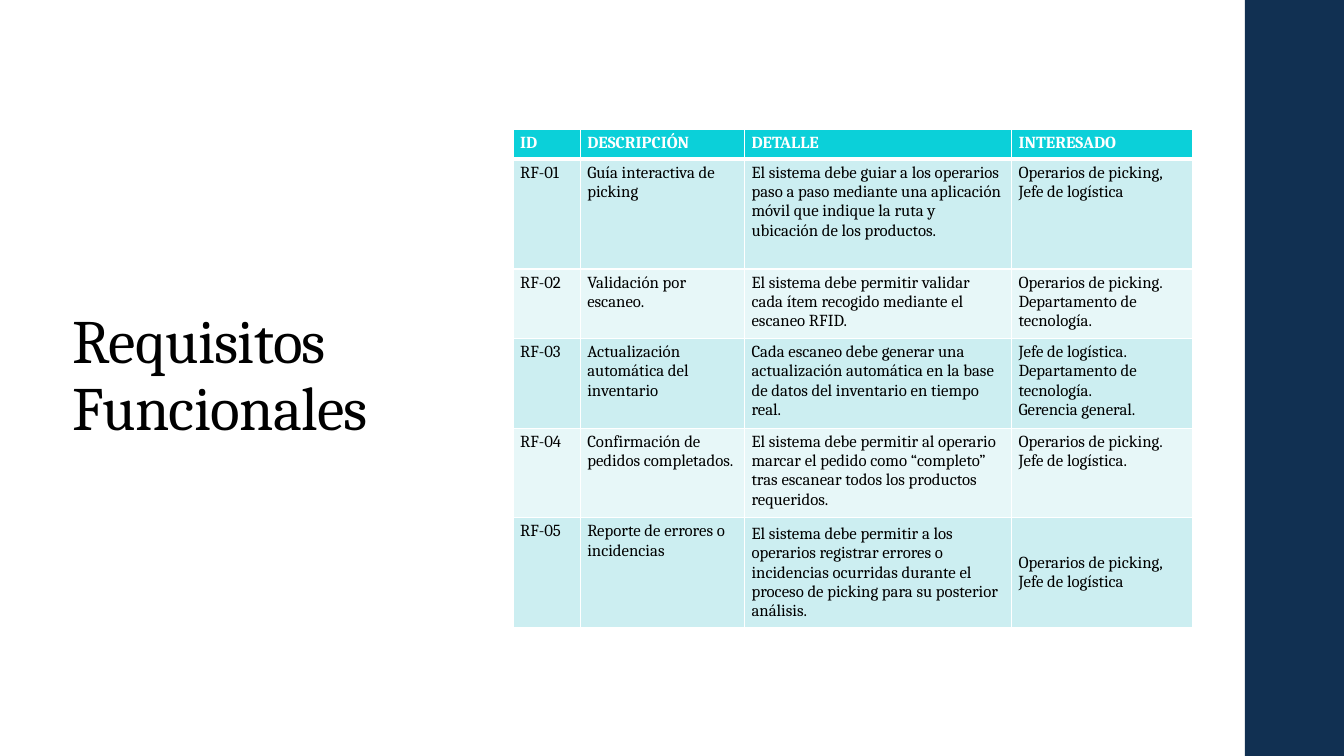
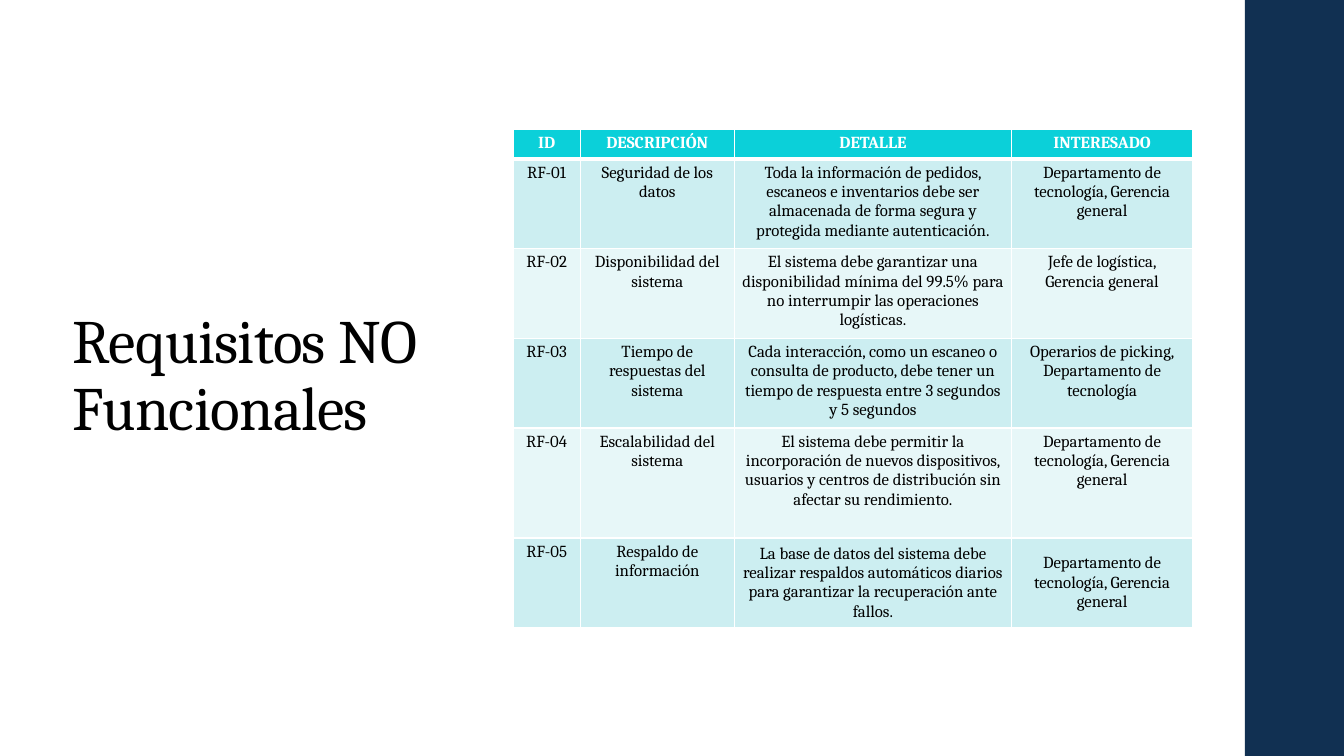
from lxml.etree import SubElement
from pptx import Presentation
from pptx.dml.color import RGBColor
from pptx.enum.shapes import MSO_SHAPE
from pptx.enum.text import MSO_ANCHOR, PP_ALIGN
from pptx.oxml.ns import qn
from pptx.util import Cm, Pt

FONT = "Cambria"
WHITE, BLACK, NAVY, CYAN = "FFFFFF", "000000", "113052", "0BD0D9"
ROW_FILLS = ("CCEEF1", "E7F7F8")
SLIDE_WIDTH, SLIDE_HEIGHT = 33.87, 19.05
BAND_LEFT = 31.37
HEADER_HEIGHT = 0.76
HEADINGS = ("ID", "DESCRIPCIÓN", "DETALLE", "INTERESADO")

FUNCTIONAL = [
    ("Guía interactiva de picking",
     "El sistema debe guiar a los operarios paso a paso mediante una aplicación móvil que indique la ruta y ubicación de los productos.",
     "Operarios de picking, Jefe de logística"),
    ("Validación por escaneo.",
     "El sistema debe permitir validar cada ítem recogido mediante el escaneo RFID.",
     "Operarios de picking.\nDepartamento de tecnología."),
    ("Actualización automática del inventario",
     "Cada escaneo debe generar una actualización automática en la base de datos del inventario en tiempo real.",
     "Jefe de logística.\nDepartamento de tecnología.\nGerencia general."),
    ("Confirmación de pedidos completados.",
     "El sistema debe permitir al operario marcar el pedido como “completo” tras escanear todos los productos requeridos.",
     "Operarios de picking.\nJefe de logística."),
    ("Reporte de errores o incidencias",
     "El sistema debe permitir a los operarios registrar errores o incidencias ocurridas durante el proceso de picking para su posterior análisis.",
     "Operarios de picking, Jefe de logística"),
]

NON_FUNCTIONAL = [
    ("Seguridad de los datos",
     "Toda la información de pedidos, escaneos e inventarios debe ser almacenada de forma segura y protegida mediante autenticación.",
     "Departamento de tecnología, Gerencia general"),
    ("Disponibilidad del sistema",
     "El sistema debe garantizar una disponibilidad mínima del 99.5% para no interrumpir las operaciones logísticas.",
     "Jefe de logística, Gerencia general"),
    ("Tiempo de respuestas del sistema",
     "Cada interacción, como un escaneo o consulta de producto, debe tener un tiempo de respuesta entre 3 segundos y 5 segundos",
     "Operarios de picking, Departamento de tecnología"),
    ("Escalabilidad del sistema",
     "El sistema debe permitir la incorporación de nuevos dispositivos, usuarios y centros de distribución sin afectar su rendimiento.",
     "Departamento de tecnología, Gerencia general"),
    ("Respaldo de información",
     "La base de datos del sistema debe realizar respaldos automáticos diarios para garantizar la recuperación ante fallos.",
     "Departamento de tecnología, Gerencia general"),
]


def color(value):
    return RGBColor.from_string(value)


def write_text(frame, text, size=12, ink=BLACK, bold=False,
               align=PP_ALIGN.LEFT, line_spacing=None, tracking=None):
    frame.word_wrap = True
    for index, line in enumerate(text.split("\n")):
        para = frame.add_paragraph() if index else frame.paragraphs[0]
        para.alignment = align
        para.line_spacing = line_spacing
        span = para.add_run()
        span.text = line
        span.font.name = FONT
        span.font.size = Pt(size)
        span.font.bold = bold
        span.font.color.rgb = color(ink)
        if tracking is not None:
            span._r.get_or_add_rPr().set("spc", str(round(tracking * 100)))


def add_band(page):
    band = page.shapes.add_shape(
        MSO_SHAPE.RECTANGLE, Cm(BAND_LEFT), 0,
        Cm(SLIDE_WIDTH - BAND_LEFT), Cm(SLIDE_HEIGHT))
    band.shadow.inherit = False
    band.fill.solid()
    band.fill.fore_color.rgb = color(NAVY)
    band.line.fill.background()


def add_title(page, text, width):
    box = page.shapes.add_textbox(Cm(1.58), Cm(2.3), Cm(width), Cm(14.4))
    box.text_frame.vertical_anchor = MSO_ANCHOR.MIDDLE
    write_text(box.text_frame, text, size=44, line_spacing=0.9, tracking=-0.5)


def set_borders(cell, top=1, bottom=1):
    properties = cell._tc.get_or_add_tcPr()
    for side, width in (("L", 1), ("R", 1), ("T", top), ("B", bottom)):
        line = SubElement(properties, qn(f"a:ln{side}"), w=str(Pt(width)))
        fill = SubElement(line, qn("a:solidFill"))
        SubElement(fill, qn("a:srgbClr"), val=WHITE)


def format_cell(cell, text, fill, top=1, bottom=1, anchor=MSO_ANCHOR.TOP, **text_format):
    cell.margin_left = cell.margin_right = Cm(0.18)
    cell.margin_top = cell.margin_bottom = Cm(0.1)
    cell.vertical_anchor = anchor
    set_borders(cell, top, bottom)
    cell.fill.solid()
    cell.fill.fore_color.rgb = color(fill)
    write_text(cell.text_frame, text, **text_format)


def add_requirements(page, requirements, widths, heights, align):
    heights = [HEADER_HEIGHT, *heights]
    table = page.shapes.add_table(
        len(heights), len(widths), Cm(12.93), Cm(3.25),
        Cm(sum(widths)), Cm(sum(heights))).table
    table.horz_banding = False
    for column, width in zip(table.columns, widths):
        column.width = Cm(width)
    for row, height in zip(table.rows, heights):
        row.height = Cm(height)
    for column, heading in enumerate(HEADINGS):
        format_cell(table.cell(0, column), heading, CYAN, bottom=3,
                    ink=WHITE, bold=True, align=align)
    for row, requirement in enumerate(requirements, 1):
        for column, text in enumerate((f"RF-{row:02}", *requirement)):
            centred = row == len(requirements) and column >= 2
            format_cell(table.cell(row, column), text, ROW_FILLS[(row - 1) % 2],
                        top=3 if row == 1 else 1,
                        anchor=MSO_ANCHOR.MIDDLE if centred else MSO_ANCHOR.TOP,
                        align=align)


def add_page(deck, title, title_width, requirements, widths, heights, align):
    page = deck.slides.add_slide(deck.slide_layouts[6])
    add_band(page)
    add_title(page, title, title_width)
    add_requirements(page, requirements, widths, heights, align)


def main():
    deck = Presentation()
    deck.slide_width = Cm(SLIDE_WIDTH)
    deck.slide_height = Cm(SLIDE_HEIGHT)
    add_page(deck, "Requisitos Funcionales", 9.55, FUNCTIONAL,
             (1.69, 4.14, 6.73, 4.57), (2.77, 1.75, 2.26, 2.26, 2.77), PP_ALIGN.LEFT)
    add_page(deck, "Requisitos NO Funcionales", 10.74, NON_FUNCTIONAL,
             (1.69, 3.89, 6.98, 4.57), (2.26, 2.26, 2.26, 2.77, 2.26), PP_ALIGN.CENTER)
    deck.save("out.pptx")


if __name__ == "__main__":
    main()
